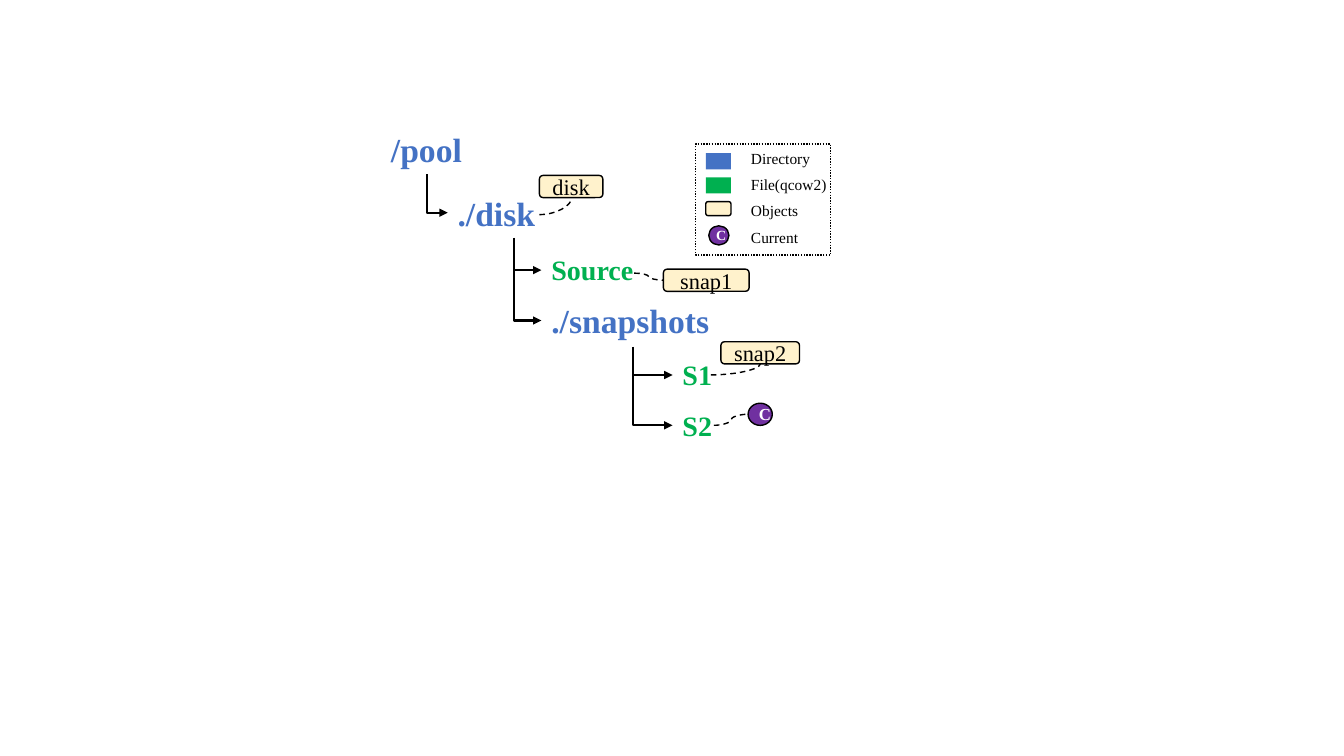
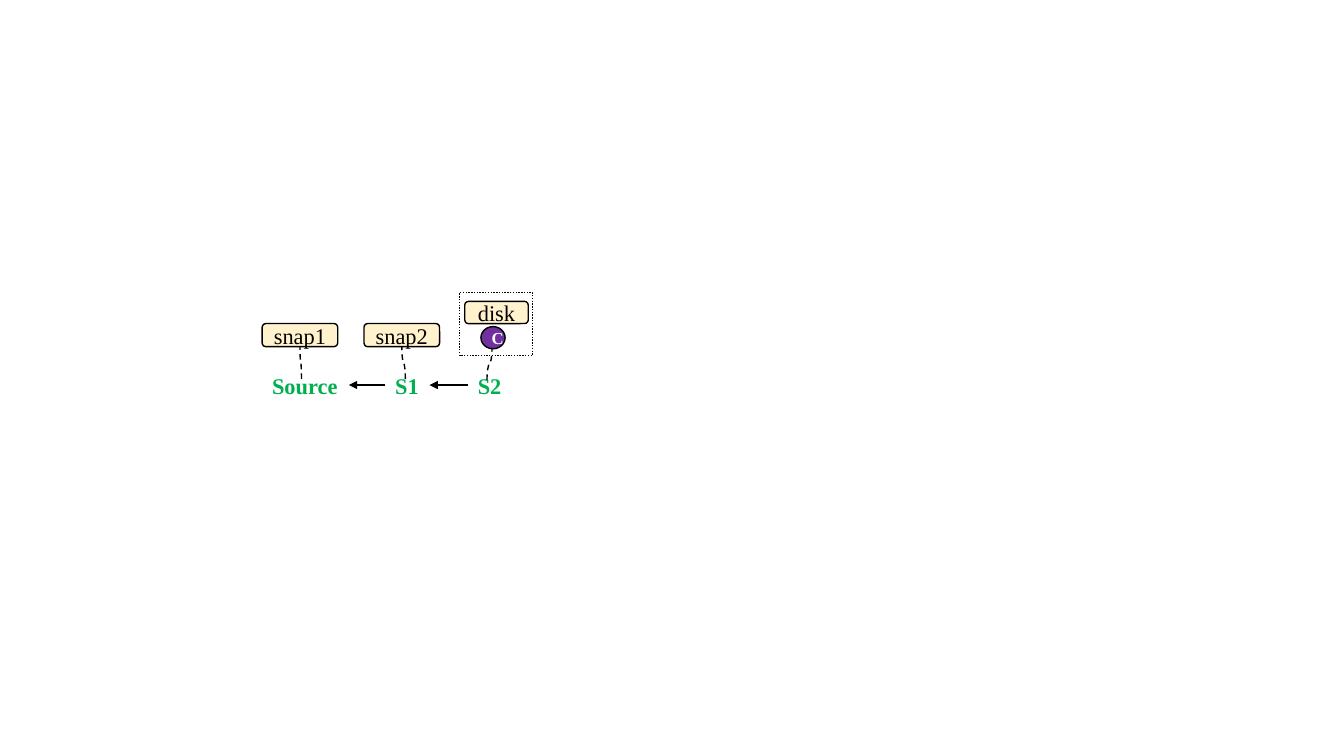
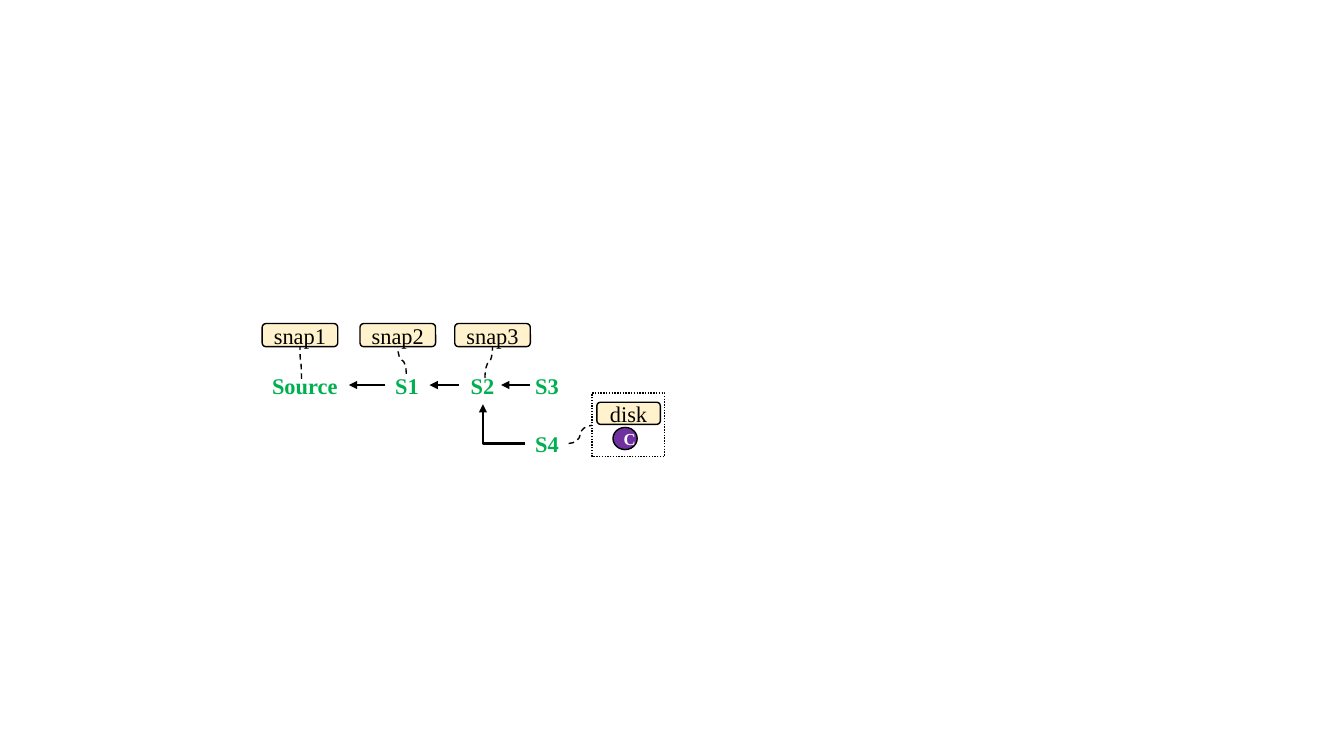
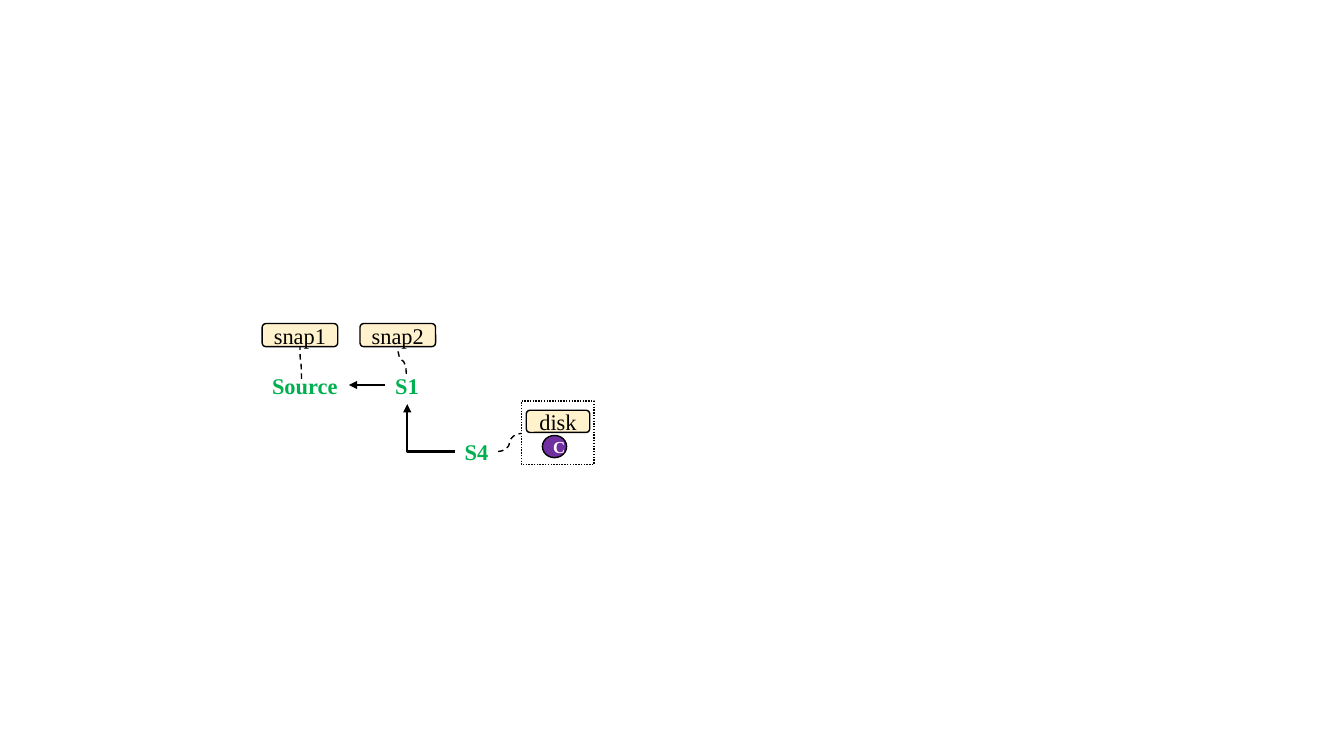
from lxml import etree
from pptx import Presentation
from pptx.dml.color import RGBColor
from pptx.enum.dml import MSO_LINE
from pptx.enum.shapes import MSO_CONNECTOR as CONN, MSO_SHAPE as SHAPE
from pptx.enum.text import MSO_ANCHOR, MSO_AUTO_SIZE, PP_ALIGN
from pptx.oxml.ns import qn
from pptx.util import Inches, Pt

# Shared style
FONT = "Times New Roman"
BLACK = RGBColor(0x00, 0x00, 0x00)
WHITE = RGBColor(0xFF, 0xFF, 0xFF)
BLUE = RGBColor(0x44, 0x72, 0xC4)
GREEN = RGBColor(0x00, 0xB0, 0x50)
CREAM = RGBColor(0xFF, 0xF2, 0xCC)
PURPLE = RGBColor(0x70, 0x30, 0xA0)

# Rows and columns of the snapshot chains, in inches
PILL_Y, PILL_W, PILL_H = 3.21, 0.75, 0.23
FILE_Y, FILE_H = 3.64, 0.37
ARROW_Y = 3.82
SOURCE_X, S1_X = 2.6, 3.82


def style_text(tf, text, size, color, bold=False, align=PP_ALIGN.LEFT):
    tf.text = text
    tf.word_wrap = True
    p = tf.paragraphs[0]
    p.alignment = align
    font = p.runs[0].font
    font.name, font.size, font.bold = FONT, Pt(size), bold
    font.color.rgb = color


def label(s, x, y, w, h, text, size, color, bold=True, align=PP_ALIGN.LEFT):
    tf = s.shapes.add_textbox(*map(Inches, (x, y, w, h))).text_frame
    style_text(tf, text, size, color, bold, align)
    tf.auto_size = MSO_AUTO_SIZE.SHAPE_TO_FIT_TEXT


def box(s, kind, x, y, w, h, fill=None, outlined=True, dash=None):
    sp = s.shapes.add_shape(kind, *map(Inches, (x, y, w, h)))
    sp.shadow.inherit = False
    if fill is None:
        sp.fill.background()
    else:
        sp.fill.solid()
        sp.fill.fore_color.rgb = fill
    if outlined:
        sp.line.color.rgb = BLACK
        sp.line.width = Pt(1)
        if dash:
            sp.line.dash_style = dash
    else:
        sp.line.fill.background()
    return sp


def pill(s, x, y, w, h, text):
    sp = box(s, SHAPE.ROUNDED_RECTANGLE, x, y, w, h, CREAM)
    style_text(sp.text_frame, text, 16, BLACK, align=PP_ALIGN.CENTER)
    sp.text_frame.vertical_anchor = MSO_ANCHOR.MIDDLE


def current(s, x, y, w=0.24, h=0.22, size=12):
    sp = box(s, SHAPE.OVAL, x, y, w, h, PURPLE)
    style_text(sp.text_frame, "C", size, WHITE, True, PP_ALIGN.CENTER)
    sp.text_frame.vertical_anchor = MSO_ANCHOR.MIDDLE


def frame(s, x, y, w, h):
    box(s, SHAPE.RECTANGLE, x, y, w, h, dash=MSO_LINE.ROUND_DOT)


def connect(s, kind, start, end, preset=None, vertical=False):
    """Connector that leaves start sideways, or upright if vertical."""
    (x1, y1), (x2, y2) = start, end
    if vertical:  # lay the path on its side about its centre, then turn it
        cx, cy = (x1 + x2) / 2, (y1 + y2) / 2
        dx, dy = (y1 - y2) / 2, (x2 - x1) / 2
        x1, y1, x2, y2 = cx - dx, cy - dy, cx + dx, cy + dy
    c = s.shapes.add_connector(kind, *map(Inches, (x1, y1, x2, y2)))
    if vertical:
        c.rotation = 270
    spPr = c._element.spPr
    if preset:
        spPr.find(qn("a:prstGeom")).set("prst", preset)
    c.line.color.rgb = BLACK
    etree.SubElement(spPr, qn("a:effectLst"))
    return c


def arrow(s, start, end, bent=False, vertical=False):
    kind, preset = (CONN.ELBOW, "bentConnector2") if bent else (CONN.STRAIGHT, None)
    c = connect(s, kind, start, end, preset, vertical)
    c.line.width = Pt(1.5)
    etree.SubElement(c.line._get_or_add_ln(), qn("a:tailEnd"), type="triangle")


def tie(s, start, end, vertical=False, quarter=False):
    preset = "curvedConnector2" if quarter else None
    c = connect(s, CONN.CURVE, start, end, preset, vertical)
    c.line.width = Pt(1)
    c.line.dash_style = MSO_LINE.DASH


def legend(s):
    frame(s, 6.9, 1.43, 1.34, 1.1)
    for i, text in enumerate(("Directory", "File(qcow2)", "Objects", "Current")):
        label(s, 7.35, 1.43 + 0.26 * i, 0.98, 0.29, text, 11, BLACK, bold=False)
    swatch_y = [1.52 + 0.24 * i for i in range(4)]
    for y, color in zip(swatch_y, (BLUE, GREEN)):
        box(s, SHAPE.RECTANGLE, 7, y, 0.25, 0.16, color, outlined=False)
    box(s, SHAPE.ROUNDED_RECTANGLE, 7, swatch_y[2], 0.25, 0.14, CREAM)
    current(s, 7.03, swatch_y[3], 0.2, 0.19, 10)


def tree_slide(s):
    # Directories and files
    label(s, 3.56, 1.23, 1.34, 0.5, "/pool", 24, BLUE, align=PP_ALIGN.CENTER)
    label(s, 4.44, 1.86, 1.34, 0.5, "./disk", 24, BLUE)
    label(s, 5.37, 2.93, 1.81, 0.5, "./snapshots", 24, BLUE)
    for x, y, w, text in ((5.37, 2.46, 1.06, "Source"),
                          (6.67, 3.5, 0.52, "S1"), (6.67, 4, 0.52, "S2")):
        label(s, x, y, w, 0.44, text, 20, GREEN)
    # Branches from each parent to its children
    for start, child_x, child_ys in (((4.23, 1.73), 4.44, (2.11,)),
                                     ((5.1, 2.36), 5.37, (2.68, 3.18)),
                                     ((6.28, 3.44), 6.67, (3.72, 4.22))):
        for y in child_ys:
            arrow(s, start, (child_x, y), bent=True, vertical=True)
    # Objects tied to their files
    pill(s, 5.35, 1.74, 0.63, 0.22, "disk")
    pill(s, 6.58, 2.67, 0.85, 0.22, "snap1")
    pill(s, 7.15, 3.39, 0.78, 0.22, "snap2")
    current(s, 7.42, 4)
    tie(s, (5.35, 2.13), (5.67, 1.96), quarter=True)
    tie(s, (6.29, 2.71), (6.58, 2.78))
    tie(s, (7.05, 3.72), (7.54, 3.61), quarter=True)
    tie(s, (7.08, 4.22), (7.42, 4.11))
    legend(s)


def file_label(s, x, text, y=FILE_Y, w=0.45):
    label(s, x, y, w, FILE_H, text, 16, GREEN)


def snapshot(s, x, text, tie_start):
    pill(s, x, PILL_Y, PILL_W, PILL_H, text)
    tie(s, tie_start, (x + PILL_W / 2, PILL_Y + PILL_H), vertical=True)


def chain_arrow(s, x1, x2):
    arrow(s, (x1, ARROW_Y), (x2, ARROW_Y))


def current_disk(s, x, y):
    frame(s, x, y, 0.72, 0.63)
    pill(s, x + 0.05, y + 0.09, 0.63, 0.22, "disk")
    current(s, x + 0.21, y + 0.34)


def chain_start(s, snap2_x, s1_tie):
    """Source and S1 with their snapshots, which open every chain."""
    snapshot(s, SOURCE_X, "snap1", (2.99, 3.76))
    snapshot(s, snap2_x, "snap2", s1_tie)
    file_label(s, SOURCE_X, "Source", w=0.85)
    file_label(s, S1_X, "S1")
    chain_arrow(s, S1_X, 3.46)


def side_branch(s, x, y, parent_x):
    """S4 with the current disk, hanging below its parent file."""
    mid = y + 0.18
    file_label(s, x, "S4", y)
    arrow(s, (x, mid), (parent_x, FILE_Y + FILE_H), bent=True)
    current_disk(s, x + 0.66, y - 0.32)
    tie(s, (x + 0.43, mid), (x + 0.66, y))


def linear_slide(s):
    chain_start(s, 3.61, (4.02, 3.76))
    file_label(s, 4.64, "S2")
    chain_arrow(s, 4.64, 4.26)
    current_disk(s, 4.56, 2.9)
    tie(s, (4.83, 3.77), (4.88, 3.45), vertical=True)


def branched_slide(s):
    chain_start(s, 3.57, (4.03, 3.71))
    snapshot(s, 4.51, "snap3", (4.81, 3.75))
    file_label(s, 4.57, "S2")
    file_label(s, 5.21, "S3")
    chain_arrow(s, 4.55, 4.26)
    chain_arrow(s, 5.26, 4.97)
    side_branch(s, 5.21, 4.22, 4.79)


def pruned_slide(s):
    chain_start(s, 3.57, (4.03, 3.71))
    side_branch(s, 4.51, 4.3, 4.04)


def main():
    prs = Presentation()
    prs.slide_width, prs.slide_height = Inches(13.33), Inches(7.5)
    blank = prs.slide_layouts[6]
    for build in (tree_slide, linear_slide, branched_slide, pruned_slide):
        build(prs.slides.add_slide(blank))
    prs.save("out.pptx")


if __name__ == "__main__":
    main()
